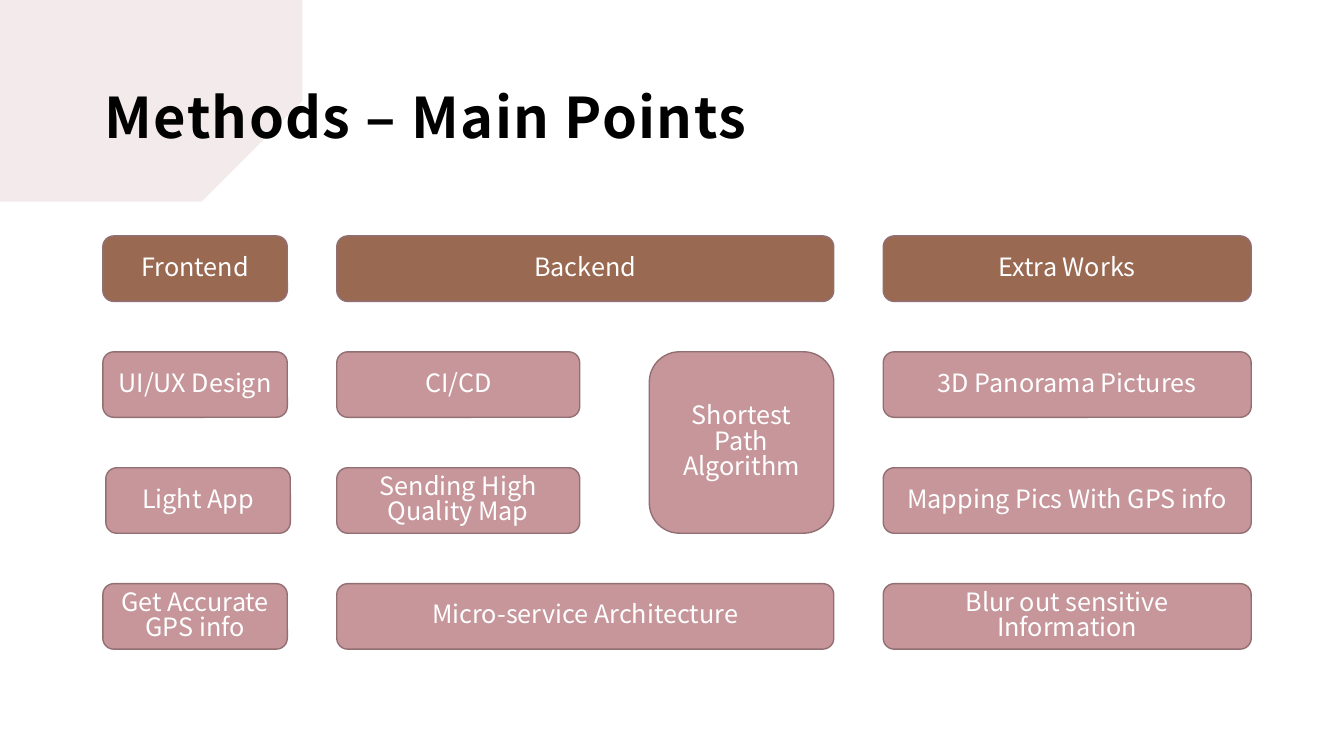
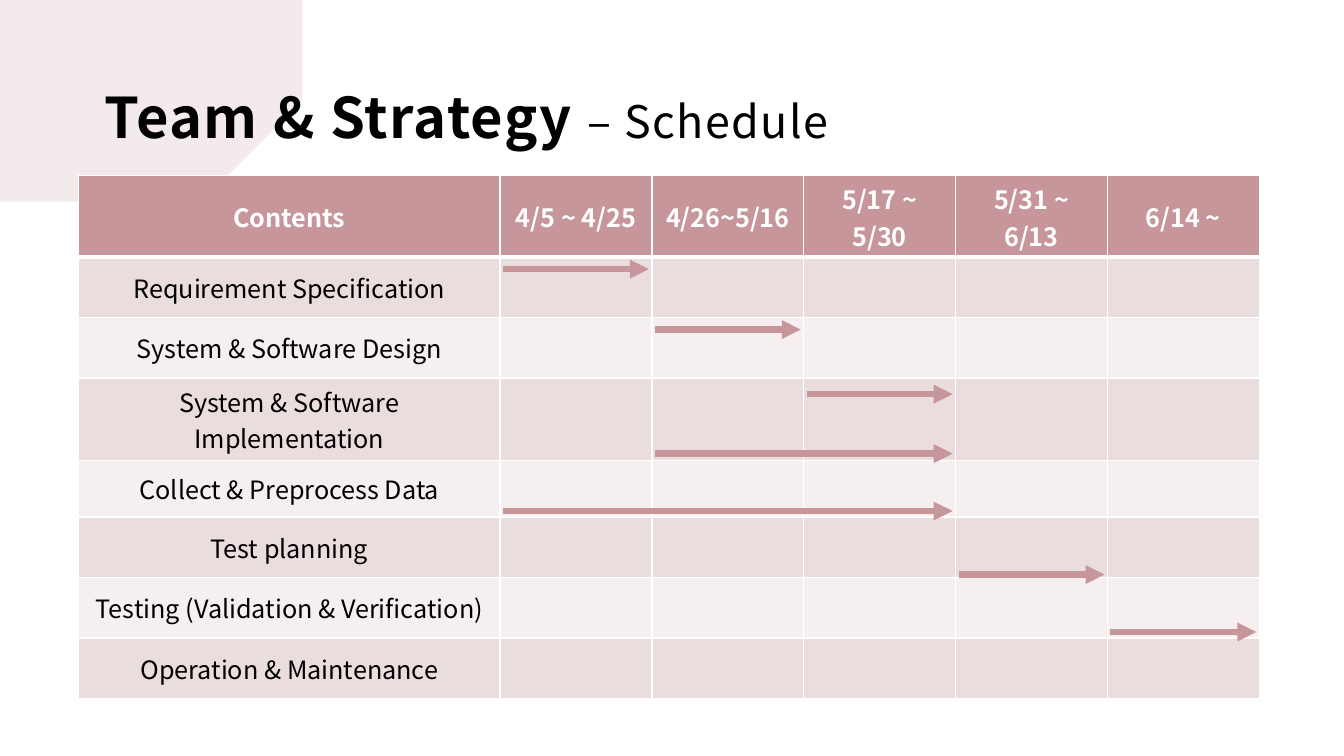
from itertools import accumulate

from lxml import etree
from pptx import Presentation
from pptx.dml.color import RGBColor
from pptx.enum.shapes import MSO_CONNECTOR, MSO_SHAPE
from pptx.enum.text import MSO_ANCHOR, PP_ALIGN
from pptx.oxml.ns import qn
from pptx.util import Inches, Pt

CENTER = PP_ALIGN.CENTER
MIDDLE = MSO_ANCHOR.MIDDLE
ROUNDED_BOX = MSO_SHAPE.FLOWCHART_ALTERNATE_PROCESS
STRAIGHT = MSO_CONNECTOR.STRAIGHT

ROSE = RGBColor(0xC6, 0x96, 0x9B)
ROSE_EDGE = RGBColor(0x92, 0x6F, 0x73)
BROWN = RGBColor(0x99, 0x69, 0x52)
BAND_DARK = RGBColor(0xEA, 0xDD, 0xDE)
BAND_LIGHT = RGBColor(0xF5, 0xEF, 0xEF)
WHITE = RGBColor(0xFF, 0xFF, 0xFF)
BLACK = RGBColor(0x00, 0x00, 0x00)

FONT = "Noto Sans CJK KR"
BODY = {"name": FONT, "size": Pt(18), "bold": False}
HEADING = {**BODY, "bold": True}
TITLE = {"name": FONT, "size": Pt(40), "bold": True}
SUBTITLE = {"name": FONT, "size": Pt(32), "bold": False}

BRUSH_OUTLINE = [
    (0, 0.34), (0.06, 0.35), (0.25, 0.37), (0.66, 0.38), (1.02, 0.37),
    (1.51, 0.38), (1.94, 0.41), (2.48, 0.41), (2.68, 0.42), (2.8, 0.47),
    (2.71, 0.49), (2.55, 0.54), (2.53, 0.57), (2.56, 0.59), (2.62, 0.62),
    (2.48, 0.62), (2.38, 0.66), (2.46, 0.68), (2.56, 0.7), (2.66, 0.71),
    (2.75, 0.74), (2.51, 0.75), (2.63, 0.78), (2.73, 0.81), (2.8, 0.82),
    (2.88, 0.83), (2.9, 0.85), (2.87, 0.88), (2.84, 0.88), (2.63, 0.88),
    (2.95, 0.92), (3.3, 0.94), (3.21, 0.97), (3.18, 1.06), (3.07, 1.11),
    (3, 1.13), (2.83, 1.16), (2.8, 1.2), (2.78, 1.25), (2.74, 1.28),
    (3.08, 1.28), (2.69, 1.38), (2.73, 1.42), (2.52, 1.48), (2.63, 1.48),
    (2.38, 1.59), (1.97, 1.72), (1.52, 1.8), (1.02, 1.88), (0.65, 1.91),
    (0.23, 1.9), (0.07, 1.89), (0, 1.88),
]


def add_text(paragraph, text, formats, color):
    """Append text to a paragraph, with a line break at each newline."""
    for index, line in enumerate(text.split("\n")):
        if index:
            paragraph.add_line_break()
        run = paragraph.add_run()
        run.text = line
        for name, value in formats.items():
            setattr(run.font, name, value)
        run.font.color.rgb = color
    return run


def add_titled_slide(title_parts):
    """Add a slide with the brush stroke and a title of (text, formats) parts."""
    slide = presentation.slides.add_slide(presentation.slide_layouts[6])
    builder = slide.shapes.build_freeform(*BRUSH_OUTLINE[0], scale=Inches(1))
    builder.add_line_segments(BRUSH_OUTLINE[1:], close=True)
    brush = builder.convert_to_shape()
    brush.shadow.inherit = False
    brush.line.fill.background()
    brush.fill.solid()
    brush.fill.fore_color.rgb = ROSE
    color = brush.fill._xPr.find(".//" + qn("a:srgbClr"))
    etree.SubElement(color, qn("a:alpha"), val="20000")

    title = slide.shapes.add_textbox(Inches(0.92), Inches(0.4), Inches(11.5), Inches(1.45))
    frame = title.text_frame
    frame.word_wrap = True
    frame.vertical_anchor = MIDDLE
    frame.margin_left = frame.margin_right = frame.margin_top = Inches(0.12)
    frame.margin_bottom = Inches(0.1)
    paragraph = frame.paragraphs[0]
    paragraph.line_spacing = 1.05
    for text, formats in title_parts:
        run = add_text(paragraph, text, formats, BLACK)
        run.font._element.set("spc", "100")
    return slide


presentation = Presentation()
presentation.slide_width = Inches(13.33)
presentation.slide_height = Inches(7.5)

# Methods: boxes on a grid of four rows
methods = add_titled_slide([("Methods – Main Points", TITLE)])
GRID_TOP, ROW_PITCH, BOX_HEIGHT = 2.34, 1.15, 0.65
FRONTEND = (1.02, 1.83)
BACKEND = (3.34, 4.93)
BACKEND_LEFT = (3.34, 2.41)
BACKEND_RIGHT = (6.44, 1.83)
EXTRA = (8.76, 3.65)
LIGHT_APP = (1.05, 1.83)

# text, (left, width), first row, rows spanned
boxes = [
    ("Frontend", FRONTEND, 0, 1),
    ("UI/UX Design", FRONTEND, 1, 1),
    ("Light App", LIGHT_APP, 2, 1),
    ("Get Accurate\nGPS info", FRONTEND, 3, 1),
    ("Backend", BACKEND, 0, 1),
    ("CI/CD", BACKEND_LEFT, 1, 1),
    ("Sending High Quality Map", BACKEND_LEFT, 2, 1),
    ("Shortest Path\nAlgorithm", BACKEND_RIGHT, 1, 2),
    ("Micro-service Architecture", BACKEND, 3, 1),
    ("Extra Works", EXTRA, 0, 1),
    ("3D Panorama Pictures", EXTRA, 1, 1),
    ("Mapping Pics With GPS info", EXTRA, 2, 1),
    ("Blur out sensitive Information", EXTRA, 3, 1),
]
for text, (left, width), row, span in boxes:
    box = methods.shapes.add_shape(
        ROUNDED_BOX, Inches(left), Inches(GRID_TOP + row * ROW_PITCH),
        Inches(width), Inches(BOX_HEIGHT + (span - 1) * ROW_PITCH))
    box.shadow.inherit = False
    box.fill.solid()
    box.fill.fore_color.rgb = ROSE if row else BROWN
    box.line.color.rgb = ROSE_EDGE
    box.line.width = Pt(1)
    box.text_frame.word_wrap = True
    box.text_frame.vertical_anchor = MIDDLE
    paragraph = box.text_frame.paragraphs[0]
    paragraph.alignment = CENTER
    paragraph.line_spacing = 0.83
    add_text(paragraph, text, BODY, WHITE)

# Schedule: table with one arrow per task
schedule = add_titled_slide([("Team & Strategy ", TITLE), ("– Schedule", SUBTITLE)])
TABLE_LEFT, TABLE_TOP = 0.78, 1.74
headers = ["Contents", "4/5 ~ 4/25", "4/26~5/16", "5/17 ~ 5/30", "5/31 ~ 6/13", "6/14 ~"]
tasks = [
    "Requirement Specification",
    "System & Software Design",
    "System & Software Implementation",
    "Collect & Preprocess Data",
    "Test planning",
    "Testing (Validation & Verification)",
    "Operation & Maintenance",
]
column_widths = [4.18] + [1.506] * 5
row_heights = [0.81, 0.6, 0.6, 0.82, 0.56, 0.6, 0.6, 0.6]
column_edges = list(accumulate(column_widths, initial=TABLE_LEFT))
row_edges = list(accumulate(row_heights, initial=TABLE_TOP))

table = schedule.shapes.add_table(
    len(row_heights), len(column_widths), Inches(TABLE_LEFT), Inches(TABLE_TOP),
    Inches(sum(column_widths)), Inches(sum(row_heights))).table
table.horz_banding = False
for column, width in zip(table.columns, column_widths):
    column.width = Inches(width)
for row, height in zip(table.rows, row_heights):
    row.height = Inches(height)

rows = [headers] + [[task] + [""] * 5 for task in tasks]
for row_index, texts in enumerate(rows):
    for column_index, text in enumerate(texts):
        cell = table.cell(row_index, column_index)
        cell.vertical_anchor = MIDDLE
        properties = cell._tc.get_or_add_tcPr()
        for side in ("lnL", "lnR", "lnT", "lnB"):
            below_header = (row_index, side) in ((0, "lnB"), (1, "lnT"))
            border = etree.SubElement(
                properties, qn("a:" + side), w=str(Pt(3 if below_header else 1)))
            line_fill = etree.SubElement(border, qn("a:solidFill"))
            etree.SubElement(line_fill, qn("a:srgbClr"), val=str(WHITE))
        cell.fill.solid()
        band = BAND_DARK if row_index % 2 else BAND_LIGHT
        cell.fill.fore_color.rgb = band if row_index else ROSE
        paragraph = cell.text_frame.paragraphs[0]
        paragraph.alignment = CENTER
        if text:
            add_text(paragraph, text, BODY if row_index else HEADING,
                     BLACK if row_index else WHITE)

# first column, last column, row edge, offset from that edge
ARROW_GAP = 0.03
arrows = [
    (1, 1, 1, 0.12),
    (2, 2, 2, 0.12),
    (3, 3, 3, 0.16),
    (2, 3, 4, -0.07),
    (1, 3, 5, -0.06),
    (4, 4, 6, -0.03),
    (5, 5, 7, -0.06),
]
for first, last, edge, offset in arrows:
    y = Inches(row_edges[edge] + offset)
    arrow = schedule.shapes.add_connector(
        STRAIGHT, Inches(column_edges[first] + ARROW_GAP), y,
        Inches(column_edges[last + 1] - ARROW_GAP), y)
    arrow.line.color.rgb = ROSE
    arrow.line.width = Pt(4.5)
    etree.SubElement(arrow.line._get_or_add_ln(), qn("a:tailEnd"), type="triangle")
    etree.SubElement(arrow._element.spPr, qn("a:effectLst"))

presentation.save("out.pptx")
